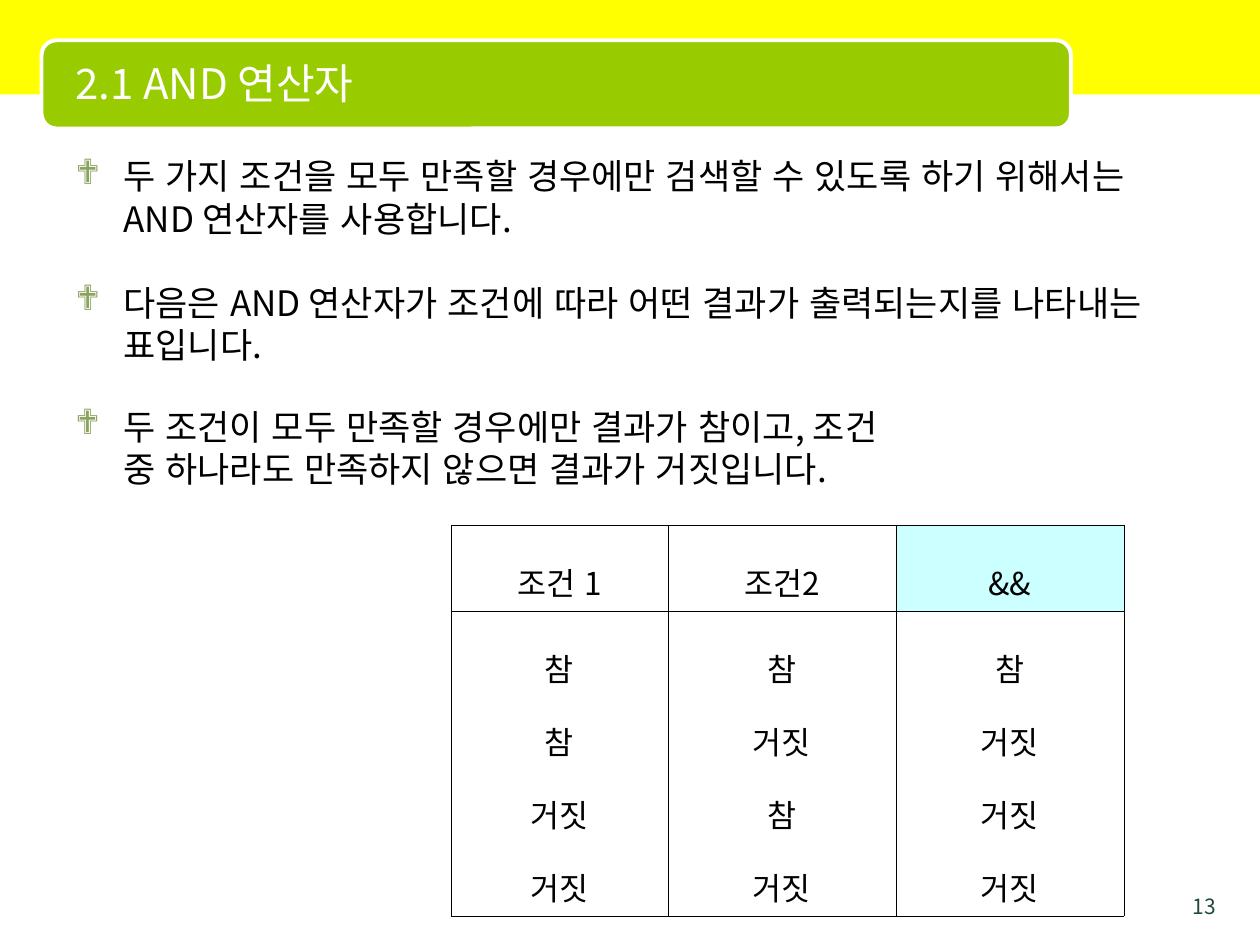
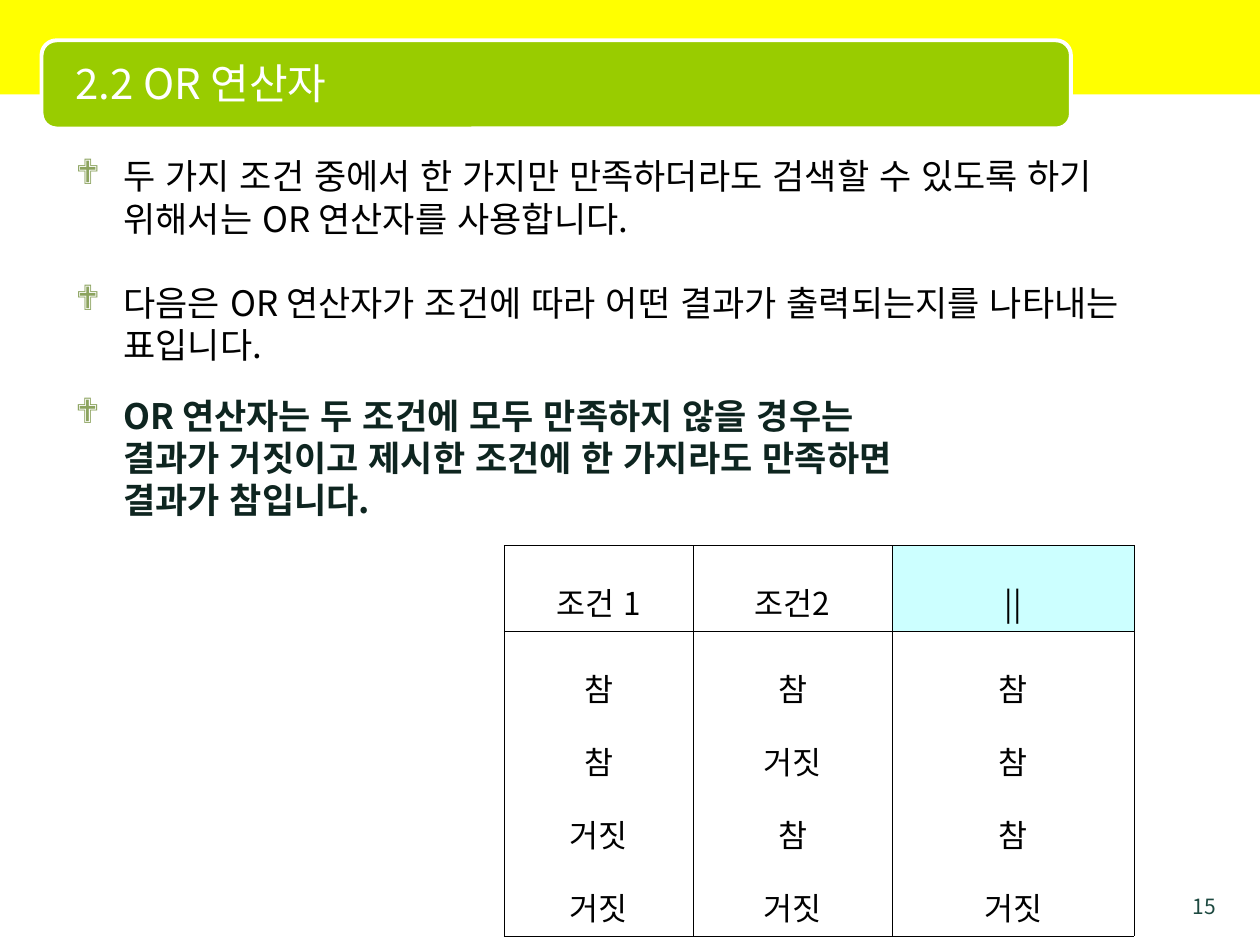
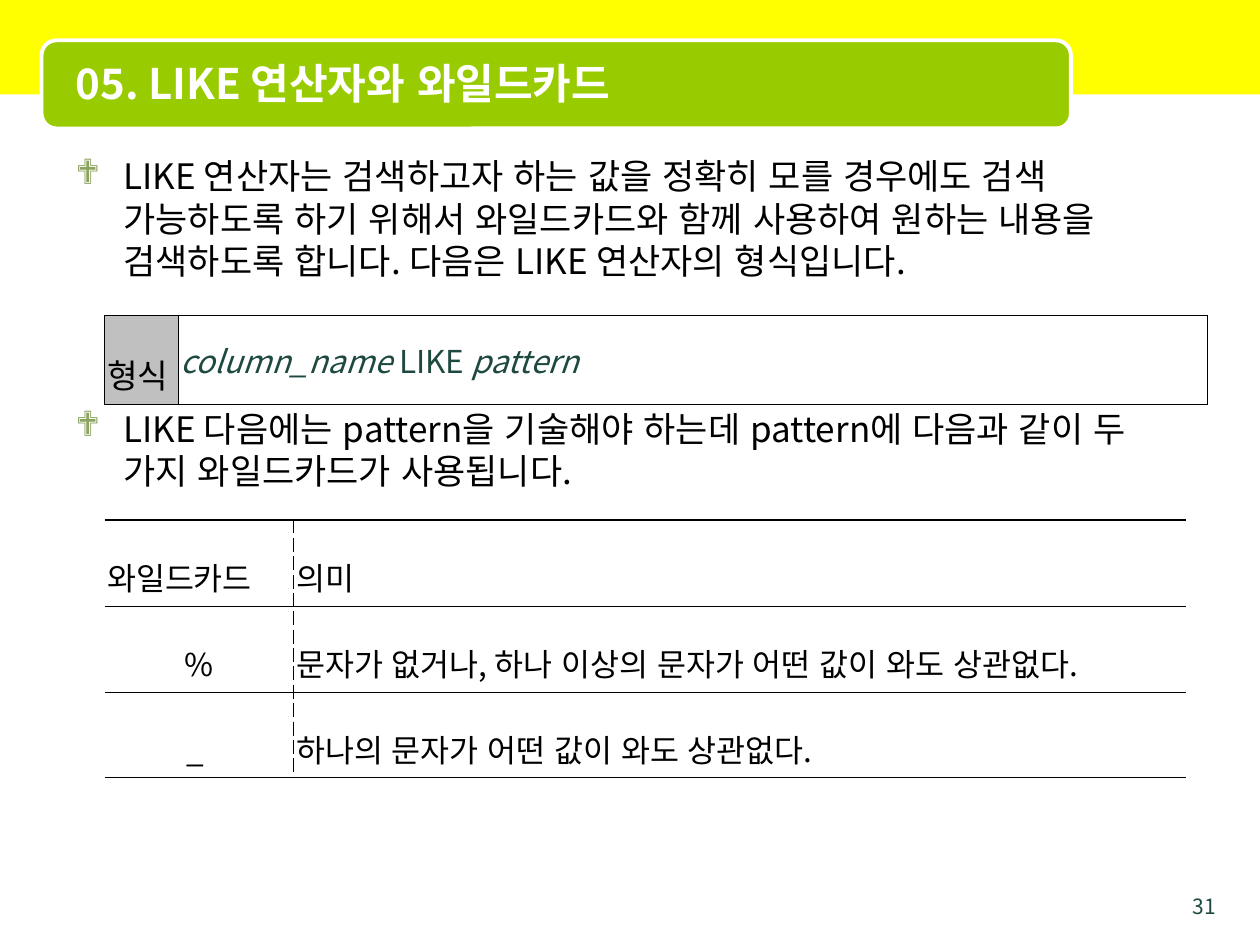
from dataclasses import dataclass
from typing import Optional

from lxml.etree import SubElement
from pptx import Presentation
from pptx.dml.color import RGBColor
from pptx.enum.lang import MSO_LANGUAGE_ID as Lang
from pptx.enum.shapes import MSO_SHAPE as Shape
from pptx.enum.text import MSO_ANCHOR as Anchor, MSO_AUTO_SIZE as AutoSize, PP_ALIGN as Align
from pptx.oxml.ns import qn
from pptx.util import Inches, Pt

FONT = "Noto Sans CJK KR"
BULLET_FONT = "Wingdings"
YELLOW = RGBColor(0xFF, 0xFF, 0x00)
GREEN = RGBColor(0x99, 0xCC, 0x00)
WHITE = RGBColor(0xFF, 0xFF, 0xFF)
BLACK = RGBColor(0x00, 0x00, 0x00)
DEEP = RGBColor(0x1D, 0x49, 0x40)
DARK = RGBColor(0x0E, 0x25, 0x20)
OLIVE = RGBColor(0x8C, 0xA3, 0x5F)
CYAN = RGBColor(0xCC, 0xFF, 0xFF)
GRAY = RGBColor(0xC0, 0xC0, 0xC0)


@dataclass
class Box:
    left: float
    top: float
    width: float
    height: float

    def emu(self) -> tuple:
        return tuple(Inches(v) for v in (self.left, self.top, self.width, self.height))


@dataclass
class Style:
    size: float
    color: RGBColor = BLACK
    bold: bool = False
    italic: bool = False


@dataclass
class Bullet:
    text: str
    before: float = 24


@dataclass
class Cell:
    text: str
    align: Align = Align.CENTER
    fill: Optional[RGBColor] = None
    size: float = 18


@dataclass
class Border:
    width: float
    dash: str = "solid"


@dataclass
class Grid:
    left: float
    top: float
    cols: list
    rows: list
    cells: list


HAIR = Border(0.11)
THICK = Border(1.25)
DASHED = Border(0.28, "dash")
BODY = Style(20)
NOTE_WIDTH, NOTE_HEIGHT = 6.75, 3.65
ROW_HEIGHT = 0.68


def style_run(r, style: Style) -> None:
    f = r.font
    f.name, f.size, f.bold, f.italic = FONT, Pt(style.size), style.bold, style.italic
    f.color.rgb = style.color
    f.language_id = Lang.KOREAN
    SubElement(r._r.get_or_add_rPr(), qn("a:ea"), typeface=FONT)


def style_text(tf, style: Style, align: Align = Align.LEFT) -> None:
    for p in tf.paragraphs:
        p.alignment = align
        for r in p.runs:
            style_run(r, style)


def place(sp, box: Box) -> None:
    sp.left, sp.top, sp.width, sp.height = box.emu()


def fill_bullets(tf, bullets: list, style: Style) -> None:
    tf.word_wrap = True
    tf.auto_size = AutoSize.NONE
    tf.text = "\n".join(b.text for b in bullets)
    style_text(tf, style)
    for p, b in zip(tf.paragraphs, bullets):
        p.line_spacing = 1.0
        p.space_before = Pt(b.before)
        pPr = p._p.get_or_add_pPr()
        pPr.set("marL", str(Inches(0.38)))
        pPr.set("indent", str(-Inches(0.38)))
        SubElement(SubElement(pPr, qn("a:buClr")), qn("a:srgbClr"), val=str(OLIVE))
        SubElement(pPr, qn("a:buFont"), typeface=BULLET_FONT)
        SubElement(pPr, qn("a:buChar"), char="❖")


def add_bands(slide, layout) -> None:
    band = slide.shapes.add_shape(Shape.RECTANGLE, *Box(0, 0, 10, 0.75).emu())
    plate = slide.shapes.add_shape(Shape.ROUNDED_RECTANGLE, *Box(0.33, 0.32, 8.17, 0.7).emu())
    plate.adjustments[0] = 0.17
    for i, (sp, color) in enumerate(((band, YELLOW), (plate, GREEN))):
        sp.shadow.inherit = False
        sp.fill.solid()
        sp.fill.fore_color.rgb = color
        sp.element.nvSpPr.cNvPr.set("id", str(100 + i))
        layout.shapes.element.insert(2 + i, sp.element)
    band.line.fill.background()
    plate.line.color.rgb = WHITE
    plate.line.width = Pt(2.25)


def add_page(prs, title: str, number: str, body: Box, bullets: list, bold: bool = False):
    layout = prs.slide_layouts[1]
    slide = prs.slides.add_slide(layout)
    if len(prs.slides) == 1:
        add_bands(slide, layout)

    sp = slide.shapes.title
    place(sp, Box(0.5, 0.35, 7.92, 0.62))
    tf = sp.text_frame
    tf.text = title
    tf.vertical_anchor = Anchor.MIDDLE
    tf.auto_size = AutoSize.NONE
    style_text(tf, Style(24, WHITE, bold))

    sp = slide.placeholders[1]
    place(sp, body)
    fill_bullets(sp.text_frame, bullets, BODY)

    tf = slide.shapes.add_textbox(*Box(9.25, 7.04, 0.5, 0.21).emu()).text_frame
    tf.word_wrap = True
    tf.text = number
    style_text(tf, Style(12, DEEP), Align.RIGHT)
    return slide


def add_note(slide, top: float, text: str, style: Style) -> None:
    box = Box(0.5, top, NOTE_WIDTH, NOTE_HEIGHT)
    fill_bullets(slide.shapes.add_textbox(*box.emu()).text_frame, [Bullet(text)], style)


def set_borders(cell, borders: dict) -> None:
    tcPr = cell._tc.get_or_add_tcPr()
    for side in "LRTB":
        border = borders.get(side)
        ln = SubElement(tcPr, qn(f"a:ln{side}"))
        if border is None:
            SubElement(ln, qn("a:noFill"))
            continue
        ln.set("w", str(Pt(border.width)))
        SubElement(SubElement(ln, qn("a:solidFill")), qn("a:srgbClr"), val=str(BLACK))
        SubElement(ln, qn("a:prstDash"), val=border.dash)


def boxed(row: int, col: int, grid: Grid) -> dict:
    return dict.fromkeys("LRTB", HAIR)


def ruled(row: int, col: int, grid: Grid) -> dict:
    return {
        "L": DASHED if col > 0 else None,
        "R": DASHED if col < len(grid.cols) - 1 else None,
        "T": THICK if row == 0 else HAIR,
        "B": HAIR,
    }


def add_grid(slide, grid: Grid, borders=boxed):
    box = Box(grid.left, grid.top, sum(grid.cols), sum(grid.rows))
    table = slide.shapes.add_table(len(grid.rows), len(grid.cols), *box.emu()).table
    table.first_row = table.horz_banding = False
    for column, width in zip(table.columns, grid.cols):
        column.width = Inches(width)
    for row, height in zip(table.rows, grid.rows):
        row.height = Inches(height)
    for i, line in enumerate(grid.cells):
        for j, item in enumerate(line):
            cell = table.cell(i, j)
            cell.vertical_anchor = Anchor.MIDDLE
            cell.margin_left = cell.margin_right = Inches(0.02)
            cell.margin_top = cell.margin_bottom = Inches(0.05)
            set_borders(cell, borders(i, j, grid))
            if item.fill is None:
                cell.fill.background()
            else:
                cell.fill.solid()
                cell.fill.fore_color.rgb = item.fill
            cell.text_frame.text = item.text
            style_text(cell.text_frame, Style(item.size), item.align)
            for p in cell.text_frame.paragraphs:
                p.line_spacing = 1.6
    return table


def add_truth_table(slide, left: float, top: float, cols: list, operator: str, results: list) -> None:
    header = [Cell("조건 1"), Cell("조건2"), Cell(operator, fill=CYAN)]
    columns = (["참", "참", "거짓", "거짓"], ["참", "거짓"] * 2, results)
    values = [Cell("\n".join(c)) for c in columns]
    add_grid(slide, Grid(left, top, cols, [ROW_HEIGHT, 2.42], [header, values]))


def add_and_page(prs) -> None:
    slide = add_page(prs, "2.1 AND 연산자", "13", Box(0.5, 1.18, 9.08, 2.32), [
        Bullet("두 가지 조건을 모두 만족할 경우에만 검색할 수 있도록 하기 위해서는 AND 연산자를 사용합니다."),
        Bullet("다음은 AND 연산자가 조건에 따라 어떤 결과가 출력되는지를 나타내는 표입니다."),
    ])
    add_truth_table(slide, 3.58, 4.17, [1.72, 1.81, 1.81], "&&", ["참", "거짓", "거짓", "거짓"])
    add_note(slide, 3.17, "두 조건이 모두 만족할 경우에만 결과가 참이고, 조건 중 하나라도 "
             "만족하지 않으면 결과가 거짓입니다.", BODY)


def add_or_page(prs) -> None:
    slide = add_page(prs, "2.2 OR 연산자", "15", Box(0.5, 1.18, 8.67, 2.41), [
        Bullet("두 가지 조건 중에서 한 가지만 만족하더라도 검색할 수 있도록 하기 위해서는 OR 연산자를 사용합니다."),
        Bullet("다음은 OR 연산자가 조건에 따라 어떤 결과가 출력되는지를 나타내는 표입니다."),
    ])
    add_note(slide, 3.08, "OR 연산자는 두 조건에 모두 만족하지 않을 경우는 결과가 거짓이고 제시한 "
             "조건에 한 가지라도 만족하면 결과가 참입니다.", Style(20, DARK, bold=True))
    add_truth_table(slide, 4, 4.33, [1.5, 1.58, 1.92], "||", ["참", "참", "참", "거짓"])


def add_like_page(prs) -> None:
    slide = add_page(prs, "05. LIKE 연산자와 와일드카드", "31", Box(0.5, 1.18, 9, 6.14), [
        Bullet("LIKE 연산자는 검색하고자 하는 값을 정확히 모를 경우에도 검색 가능하도록 하기 위해서 "
               "와일드카드와 함께 사용하여 원하는 내용을 검색하도록 합니다. 다음은 LIKE 연산자의 형식입니다."),
        Bullet("LIKE 다음에는 pattern을 기술해야 하는데 pattern에 다음과 같이 두 가지 와일드카드가 "
               "사용됩니다.", before=72),
    ], bold=True)

    label = Cell("형식", Align.JUSTIFY, GRAY, 19)
    syntax = add_grid(slide, Grid(0.83, 2.5, [0.58, 8.17], [0.71], [[label, Cell("", Align.LEFT)]]))
    p = syntax.cell(0, 1).text_frame.paragraphs[0]
    p.line_spacing = 1.0
    for text, italic in (("column_name", True), (" LIKE ", False), ("pattern", True)):
        r = p.add_run()
        r.text = text
        style_run(r, Style(18, DEEP, italic=italic))

    wildcards = [
        ("와일드카드", "의미"),
        ("%", "문자가 없거나, 하나 이상의 문자가 어떤 값이 와도 상관없다."),
        ("_ ", "하나의 문자가 어떤 값이 와도 상관없다."),
    ]
    cells = [
        [Cell(mark, Align.CENTER if i else Align.JUSTIFY, WHITE), Cell(meaning, Align.JUSTIFY, WHITE)]
        for i, (mark, meaning) in enumerate(wildcards)
    ]
    add_grid(slide, Grid(0.83, 4.13, [1.5, 7.08], [ROW_HEIGHT] * 3, cells), ruled)


def main() -> None:
    prs = Presentation()
    prs.slide_width, prs.slide_height = Inches(10), Inches(7.5)
    add_and_page(prs)
    add_or_page(prs)
    add_like_page(prs)
    prs.save("out.pptx")


if __name__ == "__main__":
    main()
